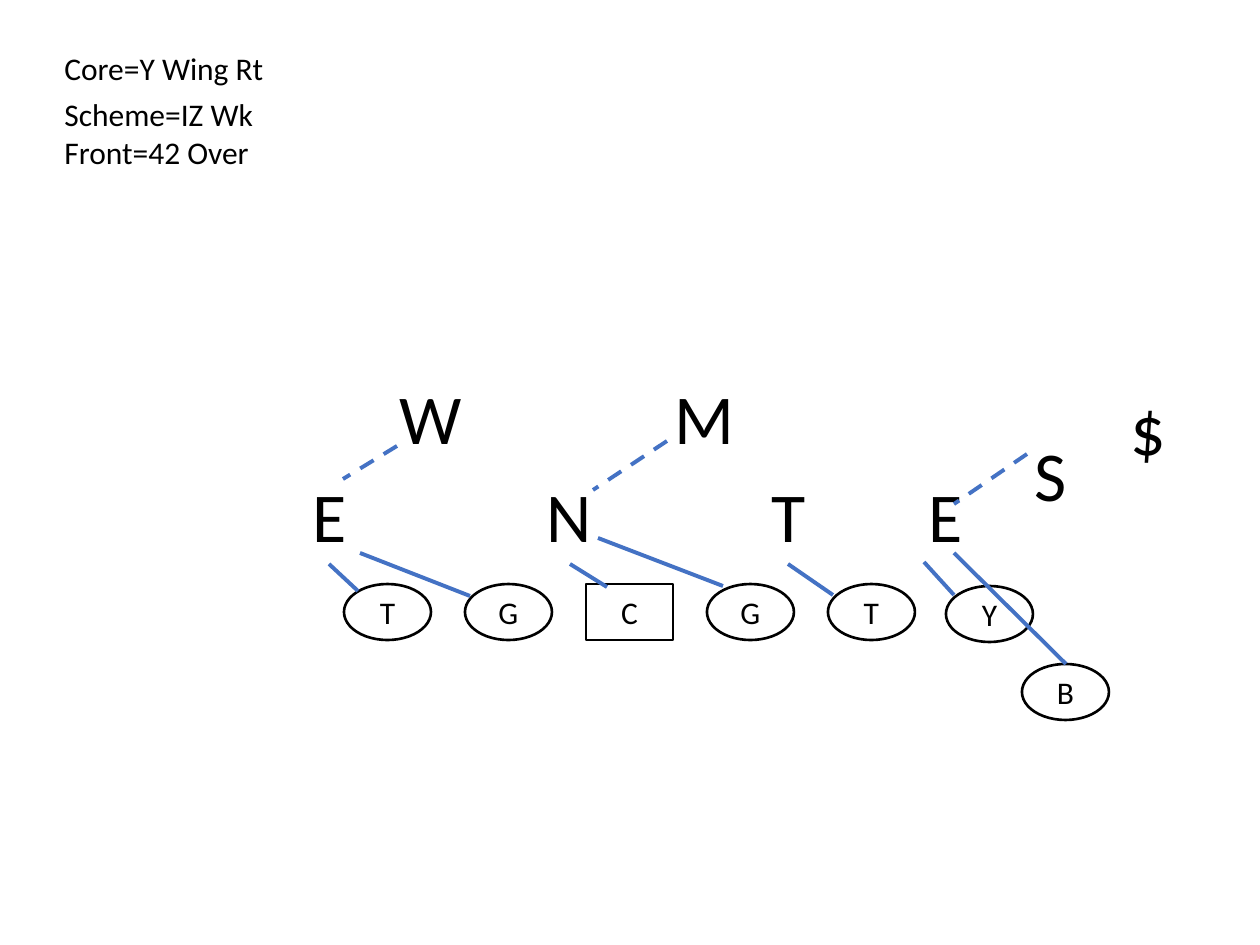
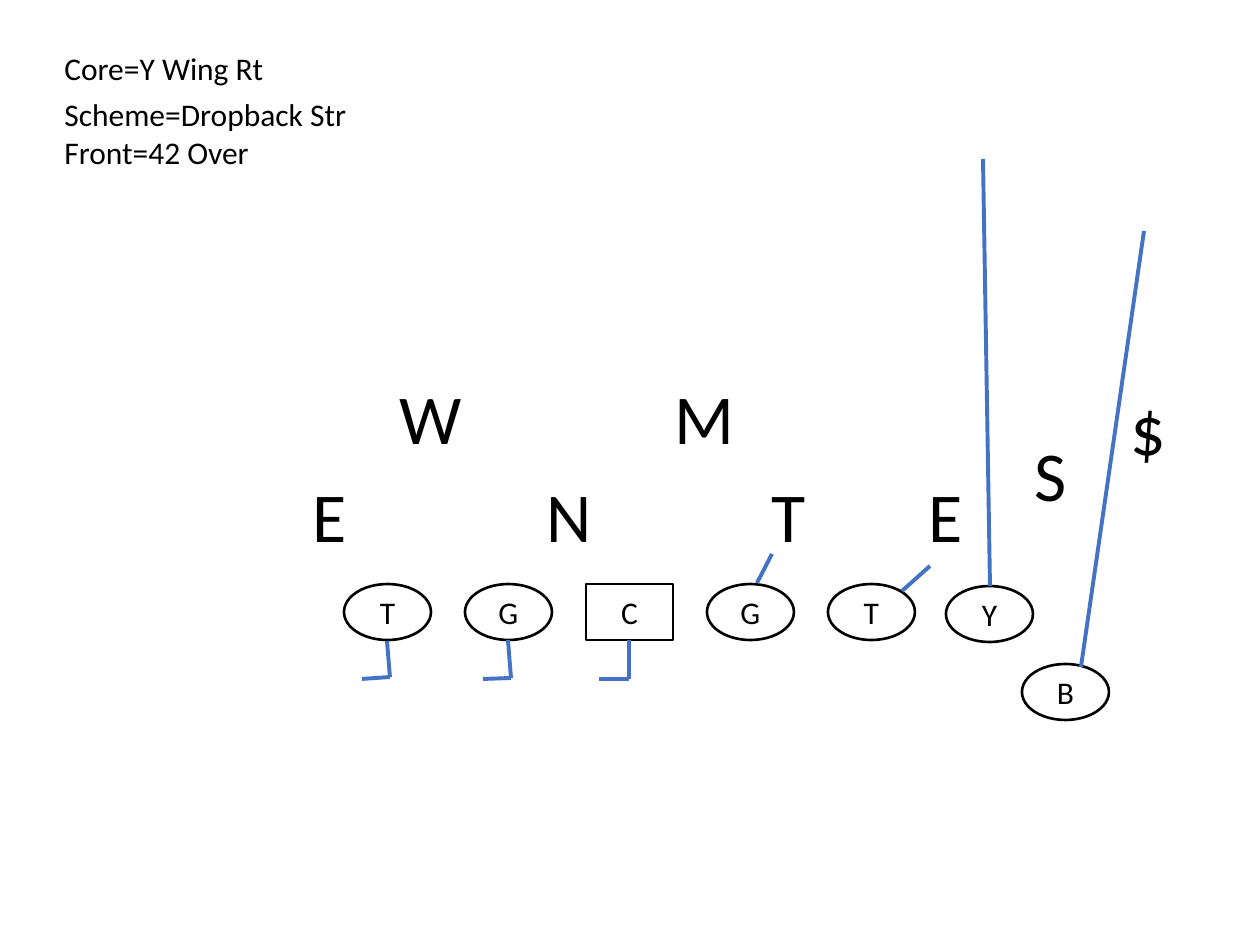
from pptx import Presentation
from pptx import util as u
from pptx.dml.color import RGBColor
from pptx.enum import dml, shapes, text
from pptx.oxml import xmlchemy
from lxml import etree

PX = u.Inches(1) / 126
BLACK = RGBColor(0x00, 0x00, 0x00)
WHITE = RGBColor(0xFF, 0xFF, 0xFF)
BLUE = RGBColor(0x44, 0x72, 0xC4)
FONT = "Calibri"
EFFECTS = "{http://schemas.openxmlformats.org/drawingml/2006/main}effectLst"

LINE_TOP = 584
FIRST_LEFT, SPACING = 344, 121
OFFENSE = [(name, FIRST_LEFT + i * SPACING, LINE_TOP) for i, name in enumerate("TGCGT")]
OFFENSE += [("Y", 946, 586), ("B", 1022, 664)]
DEFENSE = [
    ("E", 300, 466, 60), ("N", 534, 466, 71), ("T", 759, 466, 60), ("E", 916, 466, 60),
    ("W", 387, 368, 88), ("M", 662, 368, 88), ("S", 1022, 425, 60), ("$", 1118, 379, 62),
]

PLAYS = [
    {
        "scheme": ("Scheme=IZ Wk", 215),
        "solid": [
            [(329, 564), (358, 591)], [(360, 553), (470, 596)],
            [(570, 564), (607, 587)], [(598, 538), (723, 586)],
            [(788, 564), (833, 595)], [(924, 562), (954, 595)],
            [(1066, 664), (954, 553)],
        ],
        "dashed": [
            [(397, 446), (343, 479)], [(667, 441), (593, 490)], [(1027, 454), (954, 504)],
        ],
    },
    {
        "scheme": ("Scheme=Dropback Str", 310),
        "solid": [
            [(990, 586), (983, 159)], [(1144, 231), (1081, 667)],
            [(930, 566), (902, 591)], [(772, 554), (757, 583)],
            [(387, 641), (390, 677), (362, 679)],
            [(508, 640), (511, 678), (483, 679)],
            [(629, 640), (629, 679), (599, 679)],
        ],
        "dashed": [],
    },
]


def emu(*pixels):
    return [round(p * PX) for p in pixels]


def write(holder, words, size):
    holder.text_frame.text = words
    font = holder.text_frame.paragraphs[0].runs[0].font
    font.name, font.size = FONT, u.Pt(size)
    font.color.rgb = BLACK


deck = Presentation()
deck.slide_width, deck.slide_height = emu(1260, 945)

for play in PLAYS:
    slide = deck.slides.add_slide(deck.slide_layouts[6])
    scheme, scheme_width = play["scheme"]
    labels = [
        ("Core=Y Wing Rt", 52, 43, 227, 50, 18),
        (scheme, 52, 89, scheme_width, 50, 18),
        ("Front=42 Over", 52, 127, 219, 50, 18),
    ]
    labels += [(name, left, top, width, 97, 40) for name, left, top, width in DEFENSE]
    for words, left, top, width, height, size in labels:
        label = slide.shapes.add_textbox(*emu(left, top, width, height))
        write(label, words, size)
        label.text_frame.word_wrap = False
        label.text_frame.auto_size = text.MSO_AUTO_SIZE.SHAPE_TO_FIT_TEXT

    for name, left, top in OFFENSE:
        outline = shapes.MSO_SHAPE.RECTANGLE if name == "C" else shapes.MSO_SHAPE.OVAL
        player = slide.shapes.add_shape(outline, *emu(left, top, 87, 56))
        player.shadow.inherit = False
        player.fill.solid()
        player.fill.fore_color.rgb = WHITE
        player.line.color.rgb = BLACK
        player.line.width = u.Pt(1.5)
        write(player, name, 18)
        player.text_frame.vertical_anchor = text.MSO_ANCHOR.MIDDLE
        player.text_frame.paragraphs[0].alignment = text.PP_ALIGN.CENTER

    for style in ("solid", "dashed"):
        for route in play[style]:
            for start, end in zip(route, route[1:]):
                leg = slide.shapes.add_connector(
                    shapes.MSO_CONNECTOR.STRAIGHT, *emu(*start, *end))
                leg.line.color.rgb = BLUE
                leg.line.width = u.Pt(2.25)
                if style == "dashed":
                    leg.line.dash_style = dml.MSO_LINE.DASH
                etree.SubElement(leg._element.spPr, EFFECTS)

deck.save("out.pptx")
